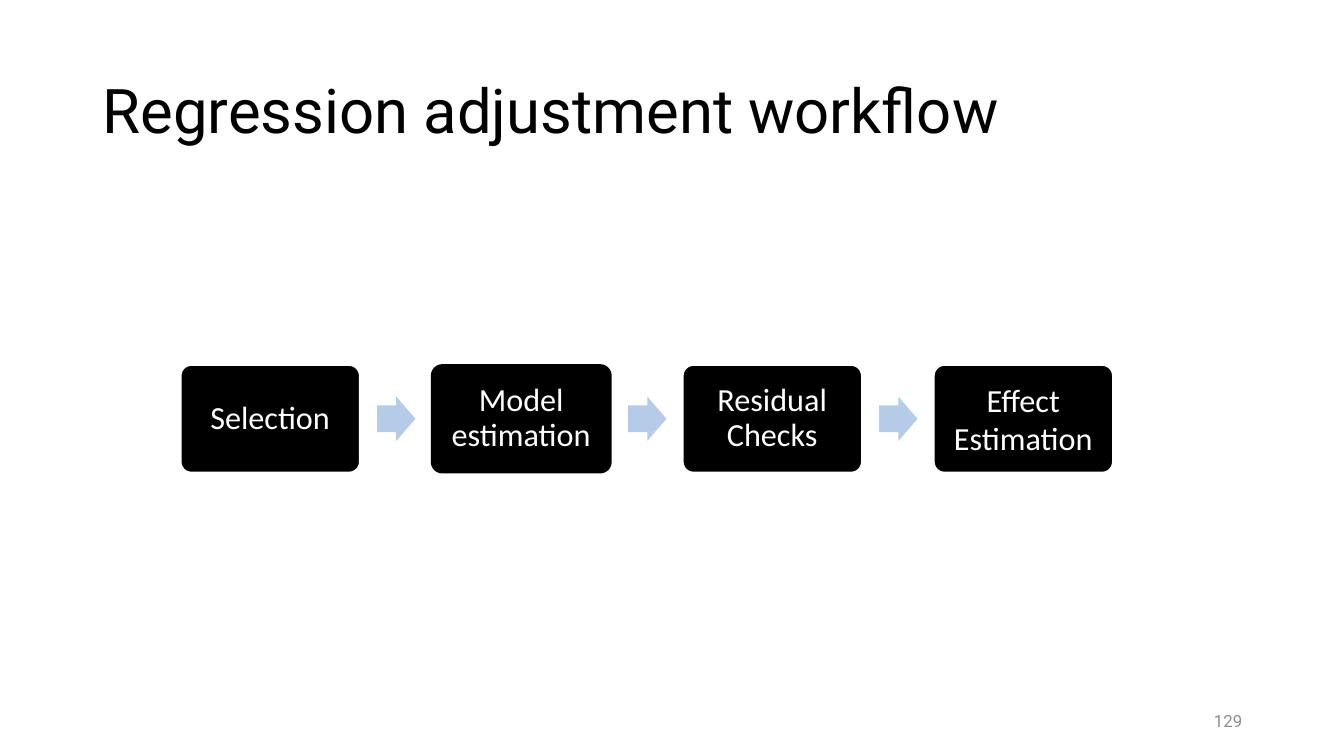
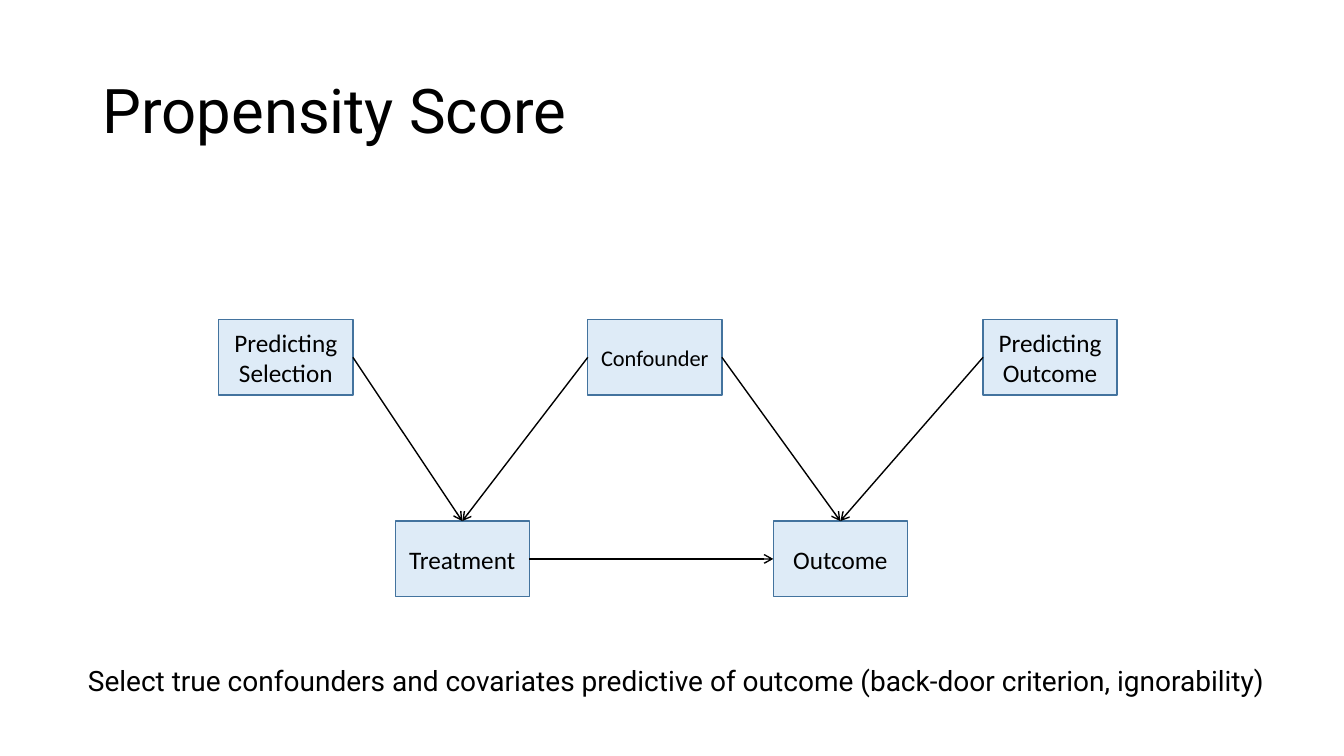
from lxml import etree
from pptx import Presentation
from pptx.dml.color import RGBColor
from pptx.enum.shapes import MSO_CONNECTOR, MSO_SHAPE
from pptx.enum.text import MSO_ANCHOR, PP_ALIGN
from pptx.oxml.ns import qn
from pptx.util import Inches, Pt

LEFT, CENTER, RIGHT = PP_ALIGN.LEFT, PP_ALIGN.CENTER, PP_ALIGN.RIGHT
TOP, MIDDLE = MSO_ANCHOR.TOP, MSO_ANCHOR.MIDDLE
RECTANGLE = MSO_SHAPE.RECTANGLE
ROUNDED = MSO_SHAPE.ROUNDED_RECTANGLE
RIGHT_ARROW = MSO_SHAPE.RIGHT_ARROW
STRAIGHT = MSO_CONNECTOR.STRAIGHT

HEADING_FONT, DIAGRAM_FONT = "Roboto", "Calibri"
BLACK, WHITE, GRAY = "000000", "FFFFFF", "8C8C8C"
ARROW_BLUE, NODE_FILL, NODE_LINE = "B5CBE7", "DEEBF7", "43739E"

# Connection sites of a rectangle
SITE_TOP, SITE_LEFT, SITE_RIGHT = 0, 1, 3

STEP_LEFT, STEP_TOP, STEP_PITCH = 1.79, 3.62, 2.49
STEP_WIDTH, STEP_HEIGHT = 1.78, 1.07
STEP_ARROW_OFFSET = 1.95
STEP_ARROW_WIDTH, STEP_ARROW_HEIGHT = 0.38, 0.44
NODE_WIDTH, NODE_HEIGHT = 1.33, 0.75
UPPER_ROW, LOWER_ROW = 3.17, 5.17


def color(value):
    return RGBColor.from_string(value)


def write(shape, text, font, size, text_color, align=CENTER, anchor=MIDDLE,
          line_spacing=1.0):
    """Fill the shape with one paragraph; a newline becomes a line break."""
    frame = shape.text_frame
    frame.word_wrap = True
    frame.vertical_anchor = anchor
    paragraph = frame.paragraphs[0]
    paragraph.alignment = align
    paragraph.line_spacing = line_spacing
    for index, line in enumerate(text.split("\n")):
        if index:
            paragraph.add_line_break()
        run = paragraph.add_run()
        run.text = line
        run.font.name = font
        run.font.size = Pt(size)
        run.font.color.rgb = color(text_color)


def add_text(slide, box, text, size, text_color=BLACK, **style):
    shape = slide.shapes.add_textbox(*map(Inches, box))
    write(shape, text, HEADING_FONT, size, text_color, **style)


def add_box(slide, preset, box, fill, line=None, line_width=1):
    shape = slide.shapes.add_shape(preset, *map(Inches, box))
    shape.shadow.inherit = False
    shape.fill.solid()
    shape.fill.fore_color.rgb = color(fill)
    if line:
        shape.line.color.rgb = color(line)
        shape.line.width = Pt(line_width)
    else:
        shape.line.fill.background()
    return shape


def add_step(slide, left, text, line, line_width, line_spacing):
    box = (left, STEP_TOP, STEP_WIDTH, STEP_HEIGHT)
    step = add_box(slide, ROUNDED, box, BLACK, line, line_width)
    step.adjustments[0] = 0.1
    write(step, text, DIAGRAM_FONT, 23, WHITE, line_spacing=line_spacing)


def add_step_arrow(slide, left):
    top = STEP_TOP + (STEP_HEIGHT - STEP_ARROW_HEIGHT) / 2
    box = (left, top, STEP_ARROW_WIDTH, STEP_ARROW_HEIGHT)
    arrow = add_box(slide, RIGHT_ARROW, box, ARROW_BLUE)
    arrow.adjustments[0] = 0.6
    arrow.adjustments[1] = 0.5


def add_node(slide, left, top, text, size=18):
    box = (left, top, NODE_WIDTH, NODE_HEIGHT)
    node = add_box(slide, RECTANGLE, box, NODE_FILL, NODE_LINE)
    write(node, text, DIAGRAM_FONT, size, BLACK)
    return node


def add_arrow(slide, source, source_site, target, target_site):
    connector = slide.shapes.add_connector(STRAIGHT, 0, 0, 0, 0)
    connector.begin_connect(source, source_site)
    connector.end_connect(target, target_site)
    connector.line.color.rgb = color(BLACK)
    connector.line.width = Pt(1)
    line = connector.line._get_or_add_ln()
    etree.SubElement(line, qn("a:tailEnd"), type="arrow")
    etree.SubElement(connector._element.spPr, qn("a:effectLst"))


def add_slide(presentation, title):
    slide = presentation.slides.add_slide(presentation.slide_layouts[6])
    add_text(slide, (0.92, 0.4, 11.5, 1.45), title, 44, align=LEFT,
             line_spacing=0.9)
    return slide


def build_workflow(presentation):
    slide = add_slide(presentation, "Regression adjustment workflow")
    add_text(slide, (9.42, 6.95, 3, 0.4), "129", 12, GRAY, align=RIGHT)
    steps = [
        ("Selection", WHITE, 1.5, 0.9),
        ("Model estimation", BLACK, 1, 0.9),
        ("Residual\nChecks", WHITE, 1.5, 0.9),
        ("Effect Estimation", WHITE, 1.5, 1.0),
    ]
    for index, step in enumerate(steps):
        left = STEP_LEFT + index * STEP_PITCH
        add_step(slide, left, *step)
        if index < len(steps) - 1:
            add_step_arrow(slide, left + STEP_ARROW_OFFSET)


def build_propensity(presentation):
    slide = add_slide(presentation, "Propensity Score")
    treatment = add_node(slide, 3.92, LOWER_ROW, "Treatment")
    outcome = add_node(slide, 7.67, LOWER_ROW, "Outcome")
    selection = add_node(slide, 2.17, UPPER_ROW, "Predicting Selection")
    confounder = add_node(slide, 5.83, UPPER_ROW, "Confounder", 16)
    predictor = add_node(slide, 9.75, UPPER_ROW, "Predicting Outcome")
    for arrow in [
        (selection, SITE_RIGHT, treatment, SITE_TOP),
        (treatment, SITE_RIGHT, outcome, SITE_LEFT),
        (predictor, SITE_LEFT, outcome, SITE_TOP),
        (confounder, SITE_LEFT, treatment, SITE_TOP),
        (confounder, SITE_RIGHT, outcome, SITE_TOP),
    ]:
        add_arrow(slide, *arrow)
    add_text(slide, (0.21, 6.53, 13, 0.44),
             "Select true confounders and covariates predictive of outcome "
             "(back-door criterion, ignorability)", 20, anchor=TOP)


def main():
    presentation = Presentation()
    presentation.slide_width = Inches(13.33)
    presentation.slide_height = Inches(7.5)
    build_workflow(presentation)
    build_propensity(presentation)
    presentation.save("out.pptx")


if __name__ == "__main__":
    main()
